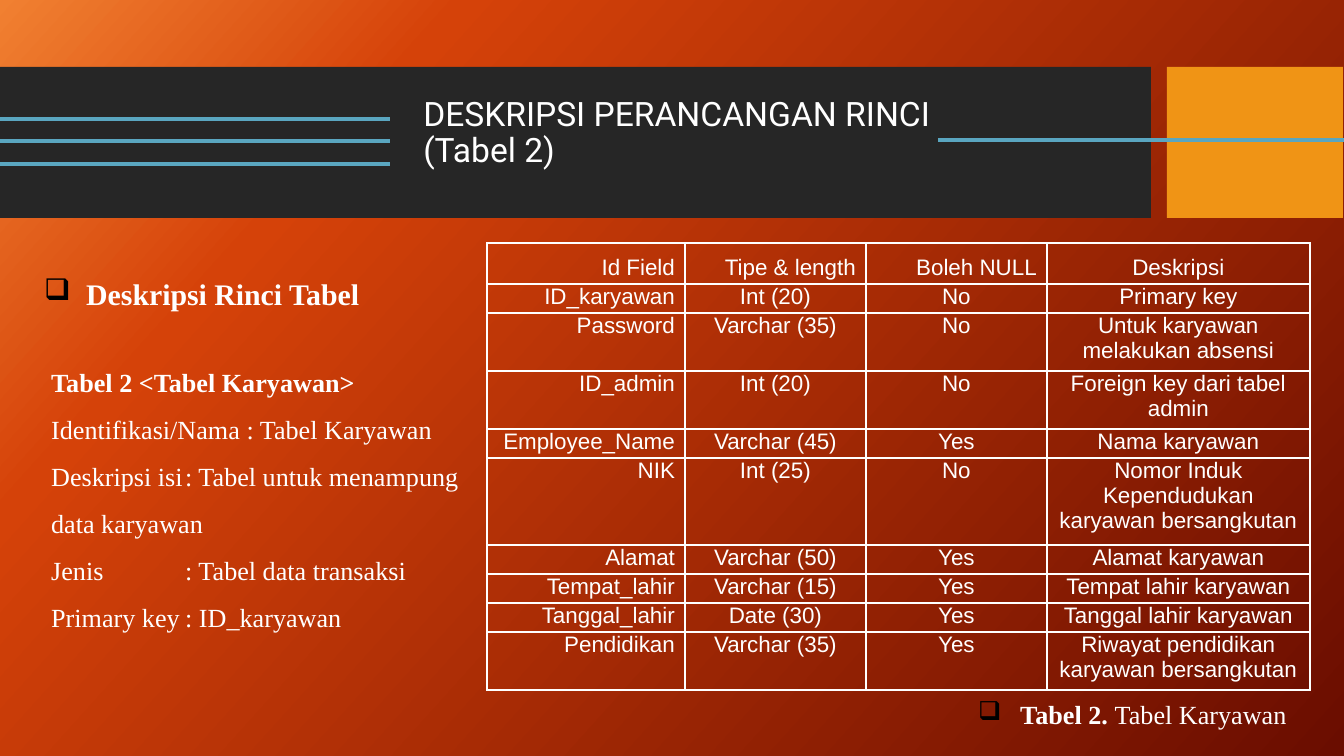
import copy

import pptx
import pptx.dml.color
import pptx.enum.shapes
import pptx.enum.text
import pptx.oxml.ns
import pptx.oxml.xmlchemy
import pptx.util
from lxml import etree

SCALE = 914400 / 134.4
WHITE, BLACK, DARK, ORANGE, BLUE = "FFFFFF", "000000", "262626", "F09415", "5AA6C0"
SERIF = "Times New Roman"
LEFT, CENTER, RIGHT = (
    pptx.enum.text.PP_ALIGN.LEFT,
    pptx.enum.text.PP_ALIGN.CENTER,
    pptx.enum.text.PP_ALIGN.RIGHT,
)
GRADIENT = [(0, "F18031"), (0.23, "D54209"), (1, "6A0D00")]
COLUMN_WIDTHS = [198, 181, 181, 263]
ROW_HEIGHTS = [41, 29, 58, 58, 29, 87, 29, 29, 29, 58]
FIELDS = [
    ("Id Field", "Tipe & length", "Boleh NULL", "Deskripsi"),
    ("ID_karyawan", "Int (20)", "No", "Primary key"),
    ("Password", "Varchar (35)", "No", "Untuk karyawan melakukan absensi"),
    ("ID_admin", "Int (20)", "No", "Foreign key dari tabel admin"),
    ("Employee_Name", "Varchar (45)", "Yes", "Nama karyawan"),
    ("NIK", "Int (25)", "No", "Nomor Induk Kependudukan karyawan bersangkutan"),
    ("Alamat", "Varchar (50)", "Yes", "Alamat karyawan"),
    ("Tempat_lahir", "Varchar (15)", "Yes", "Tempat lahir karyawan"),
    ("Tanggal_lahir", "Date (30)", "Yes", "Tanggal lahir karyawan"),
    ("Pendidikan", "Varchar (35)", "Yes", "Riwayat pendidikan karyawan bersangkutan"),
]
DETAILS = [
    ("Tabel 2 <Tabel Karyawan>", True),
    ("Identifikasi/Nama : Tabel Karyawan", False),
    ("Deskripsi isi\t: Tabel untuk menampung data karyawan", False),
    ("Jenis\t: Tabel data transaksi", False),
    ("Primary key\t: ID_karyawan", False),
]


def px(length):
    """Turn pixels into EMU."""
    return pptx.util.Emu(round(length * SCALE))


def color(code):
    """Turn a hex string into a colour."""
    return pptx.dml.color.RGBColor.from_string(code)


def add_element(parent, tag, **attributes):
    """Append a DrawingML element to its parent."""
    return etree.SubElement(parent, pptx.oxml.ns.qn(tag), attributes)


def paint_background(slide):
    """Fill the slide with the diagonal gradient."""
    fill = slide.background.fill
    fill.gradient()
    fill.gradient_angle = 360 - 42
    stops = slide.element.find(".//" + pptx.oxml.ns.qn("a:gsLst"))
    stops.append(copy.deepcopy(stops[0]))
    for stop, (position, code) in zip(fill.gradient_stops, GRADIENT):
        stop.position = position
        stop.color.rgb = color(code)


def add_band(slide, left, width, code):
    """Draw one block of the header band."""
    band = slide.shapes.add_shape(
        pptx.enum.shapes.MSO_SHAPE.RECTANGLE, px(left), px(67), px(width), px(151)
    )
    band.shadow.inherit = False
    band.fill.solid()
    band.fill.fore_color.rgb = color(code)
    band.line.fill.background()


def add_rule(slide, start, end, y):
    """Draw a horizontal accent line."""
    rule = slide.shapes.add_connector(
        pptx.enum.shapes.MSO_CONNECTOR.STRAIGHT, px(start), px(y), px(end), px(y)
    )
    rule.line.color.rgb = color(BLUE)
    rule.line.width = pptx.util.Pt(2.25)
    add_element(rule.element.spPr, "a:effectLst")


def add_box(slide, left, top, width, height):
    """Add a wrapping text box and return its frame."""
    frame = slide.shapes.add_textbox(px(left), px(top), px(width), px(height)).text_frame
    frame.word_wrap = True
    return frame


def add_span(para, text, size, font, bold=False):
    """Add a white run to a paragraph."""
    span = para.add_run()
    span.text = text
    span.font.size = pptx.util.Pt(size)
    span.font.name = font
    span.font.bold = bold
    span.font.color.rgb = color(WHITE)


def add_title(slide, lines):
    """Write the heading, one paragraph per line."""
    frame = add_box(slide, 410, 79, 555, 109)
    frame.vertical_anchor = pptx.enum.text.MSO_ANCHOR.MIDDLE
    for index, line in enumerate(lines):
        para = frame.add_paragraph() if index else frame.paragraphs[0]
        para.line_spacing = 0.9
        add_span(para, line, 18, "Roboto")


def add_bullet(slide, left, top, height, size, spans):
    """Write a line led by a black box bullet."""
    para = add_box(slide, left, top, 350, height).paragraphs[0]
    properties = para._p.get_or_add_pPr()
    properties.set("marL", str(px(42)))
    properties.set("indent", str(px(-42)))
    add_element(add_element(properties, "a:buClr"), "a:srgbClr", val=BLACK)
    add_element(properties, "a:buChar", char="❑")
    for text, bold in spans:
        add_span(para, text, size, SERIF, bold)


def add_details(slide):
    """Write the table description with its tabbed labels."""
    frame = add_box(slide, 38, 344, 445, 298)
    for index, (text, bold) in enumerate(DETAILS):
        para = frame.add_paragraph() if index else frame.paragraphs[0]
        para.line_spacing = 1.5
        tabs = add_element(para._p.get_or_add_pPr(), "a:tabLst")
        add_element(tabs, "a:tab", pos=str(px(134)), algn="l")
        add_span(para, text, 14, SERIF, bold)


def style_cell(cell):
    """Give a cell white borders, no fill and tight margins."""
    properties = cell._tc.get_or_add_tcPr()
    for side in ("a:lnL", "a:lnR", "a:lnT", "a:lnB"):
        border = add_element(properties, side, w=str(pptx.util.Pt(1)))
        add_element(add_element(border, "a:solidFill"), "a:srgbClr", val=WHITE)
    cell.fill.background()
    cell.margin_left = cell.margin_right = px(10)
    cell.margin_top = cell.margin_bottom = 0


def add_field_table(slide):
    """Build the table of fields."""
    table = slide.shapes.add_table(
        len(FIELDS), len(COLUMN_WIDTHS), px(487), px(243),
        px(sum(COLUMN_WIDTHS)), px(sum(ROW_HEIGHTS)),
    ).table
    table.first_row = table.horz_banding = False
    for column, width in zip(table.columns, COLUMN_WIDTHS):
        column.width = px(width)
    for row_index, (row, height) in enumerate(zip(table.rows, ROW_HEIGHTS)):
        row.height = px(height)
        for column_index, text in enumerate(FIELDS[row_index]):
            cell = table.cell(row_index, column_index)
            style_cell(cell)
            para = cell.text_frame.paragraphs[0]
            is_header = row_index == 0
            at_right = column_index == 0 or is_header and column_index < 3
            para.alignment = RIGHT if at_right else CENTER
            para.line_spacing = 1.5 if is_header else 1.0
            add_span(para, text, 12, "Arial")


def main():
    """Build and save the slide."""
    deck = pptx.Presentation()
    deck.slide_width, deck.slide_height = px(1344), px(756)
    page = deck.slides.add_slide(deck.slide_layouts[6])
    paint_background(page)
    add_band(page, 0, 1151, DARK)
    add_band(page, 1167, 176, ORANGE)
    add_title(page, ["DESKRIPSI PERANCANGAN RINCI", "(Tabel 2)"])
    add_rule(page, 938, 1344, 140)
    for y in (119, 141, 164):
        add_rule(page, 0, 390, y)
    add_bullet(page, 31, 269, 50, 16, [("Deskripsi Rinci Tabel", True)])
    add_bullet(page, 965, 692, 64, 14, [("Tabel 2. ", True), ("Tabel Karyawan", False)])
    add_details(page)
    add_field_table(page)
    deck.save("out.pptx")


if __name__ == "__main__":
    main()
